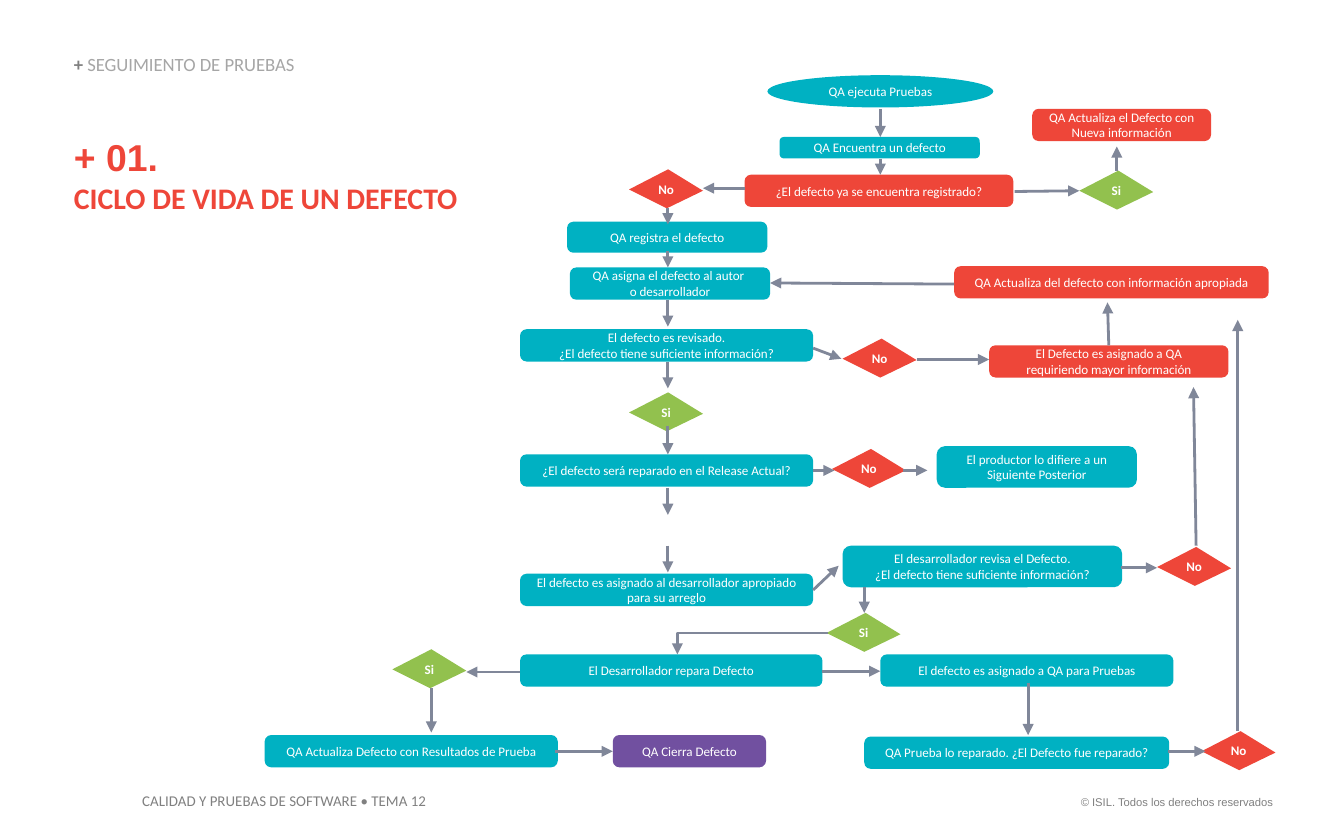
from dataclasses import dataclass

from lxml import etree
from pptx import Presentation
from pptx.dml.color import RGBColor
from pptx.enum import shapes, text
from pptx.oxml import ns
from pptx.util import Pt


@dataclass(frozen=True)
class Theme:
    teal: str = "00B1C2"
    red: str = "EE4639"
    green: str = "92C14E"
    purple: str = "7150A0"
    arrow: str = "808799"
    white: str = "FFFFFF"
    gray: str = "808080"
    light_gray: str = "A6A6A6"
    font: str = "Calibri"
    alt_font: str = "Arial"
    number_size: float = 20
    title_size: float = 16
    section_size: float = 10
    footer_size: float = 8
    node_size: float = 7
    rights_size: float = 6
    line_width: float = 1.5


T = Theme()
STEP_H = 17.3
SPINE_X = 357.8

STEPS = [
    ("QA Encuentra un defecto", 417.6, 73.4, 107.3, 11.5, T.teal),
    ("QA registra el defecto", 303.8, 118.8, 107.3, 16.6, T.teal),
    ("QA asigna el defecto al autor \vo desarrollador", 305.3, 143.3, 107.3, STEP_H, T.teal),
    ("El defecto es revisado.\n¿El defecto tiene suficiente información?",
     278.6, 176.4, 157, STEP_H, T.teal),
    ("El defecto es asignado al desarrollador apropiado para su arreglo",
     278.6, 307.4, 157, STEP_H, T.teal),
    ("El desarrollador revisa el Defecto.\n¿El defecto tiene suficiente información?",
     451.4, 292.3, 149.8, 22.3, T.teal),
    ("El productor lo difiere a un\nSiguiente Posterior", 501.8, 239, 107.3, 22.3, T.teal),
    ("El Defecto es asignado a QA requiriendo mayor información",
     529.9, 185, 128.2, STEP_H, T.red),
    ("QA Actualiza del defecto con información apropiada", 511.2, 142.6, 168.5, STEP_H, T.red),
    ("QA Actualiza el Defecto con Nueva información", 553, 58.3, 95.8, STEP_H, T.red),
    ("¿El defecto ya se encuentra registrado?", 398.9, 93.6, 144, STEP_H, T.red),
    ("QA Actualiza Defecto con Resultados de Prueba", 141.8, 393.8, 157, STEP_H, T.teal),
    ("QA Cierra Defecto", 328.3, 393.8, 82.1, STEP_H, T.purple),
    ("QA Prueba lo reparado. ¿El Defecto fue reparado?", 463, 394.6, 163.4, STEP_H, T.teal),
    ("¿El defecto será reparado en el Release Actual?", 278.6, 243.4, 157, STEP_H, T.teal),
    ("El Desarrollador repara Defecto", 278.6, 350.6, 162, STEP_H, T.teal),
    ("El defecto es asignado a QA para Pruebas", 471.6, 350.6, 157, STEP_H, T.teal),
]

ANSWERS = {
    ("No", T.red): [(337, 90.7), (451.4, 181.4), (445.7, 240.5), (619.9, 293), (643.7, 391.7)],
    ("Si", T.green): [(337, 210.2), (578.2, 91.4), (442.8, 328.3), (210.2, 347.8)],
}

SPINE = [(111.6, 120.2), (134.6, 143.3), (160.6, 175), (193.7, 208.1),
         (228.2, 243.4), (261.4, 275.8), (292.3, 306.7)]

ARROWS = [
    (471.6, 58.3, 471.6, 73.4), (471.6, 85, 471.6, 93.6),
    (231.1, 368.6, 231.1, 392.4), (550.8, 365.8, 550.8, 393.8),
    (598.3, 91.4, 598.3, 78.5), (594, 185, 593.3, 162),
    (663.1, 391.7, 663.1, 171.4), (640.8, 292.3, 639.4, 207.4),
    (491, 192.6, 529.9, 192.6), (483.8, 252, 496.8, 252),
    (435.6, 252, 447.1, 252), (600.8, 304.2, 619.9, 304.2),
    (435.6, 316.1, 449.3, 303.1), (463, 314.6, 463, 328.3),
    (625.7, 402.5, 645.8, 402.5), (297.4, 402.5, 328.3, 402.5),
    (440.6, 359.6, 471.6, 359.6), (435.6, 186.5, 450.7, 192.2),
    (543.6, 102.6, 578.2, 102.2), (511.2, 152.2, 412.6, 151.6),
    (398.9, 100.8, 376.6, 100.8), (278.6, 360, 249.8, 360),
]


def style(r, size, color, font=T.font, bold=False):
    r.font.size, r.font.name, r.font.bold = Pt(size), font, bold
    r.font.color.rgb = RGBColor.from_string(color)


def place(sp, x, y, w, h):
    sp.left, sp.top, sp.width, sp.height = Pt(x), Pt(y), Pt(w), Pt(h)


def fill_node(sp, label, color, bold=False):
    sp.shadow.inherit = False
    sp.fill.solid()
    sp.fill.fore_color.rgb = RGBColor.from_string(color)
    sp.line.fill.background()
    tf = sp.text_frame
    tf.text = label
    tf.vertical_anchor = text.MSO_ANCHOR.MIDDLE
    for p in tf.paragraphs:
        p.alignment = text.PP_ALIGN.CENTER
        for r in p.runs:
            style(r, T.node_size, T.white, bold=bold)


def add_start(s, label, x, y, w, h):
    sp = s.shapes.add_shape(shapes.MSO_SHAPE.OVAL, Pt(x), Pt(y), Pt(w), Pt(h))
    fill_node(sp, label, T.teal)


def add_step(s, label, x, y, w, h, color):
    sp = s.shapes.add_shape(shapes.MSO_SHAPE.ROUNDED_RECTANGLE, Pt(x), Pt(y), Pt(w), Pt(h))
    sp.adjustments[0] = 0.2
    fill_node(sp, label, color)


def add_outline(s, points, close):
    points = [(Pt(x), Pt(y)) for x, y in points]
    fb = s.shapes.build_freeform(*points[0])
    fb.add_line_segments(points[1:], close=close)
    return fb.convert_to_shape()


def add_answer(s, label, x, y, color):
    corners = [(0, 10.8), (20.9, 0), (39.6, 11.5), (20.2, 20.9)]
    sp = add_outline(s, [(x + dx, y + dy) for dx, dy in corners], True)
    fill_node(sp, label, color, bold=True)


def style_arrow(sp):
    sp.line.color.rgb = RGBColor.from_string(T.arrow)
    sp.line.width = Pt(T.line_width)
    sp_pr = sp.element.spPr
    etree.SubElement(sp_pr.find(ns.qn("a:ln")), ns.qn("a:tailEnd"), type="triangle")
    etree.SubElement(sp_pr, ns.qn("a:effectLst"))


def add_arrow(s, x1, y1, x2, y2):
    style_arrow(s.shapes.add_connector(
        shapes.MSO_CONNECTOR.STRAIGHT, Pt(x1), Pt(y1), Pt(x2), Pt(y2)))


def add_elbow(s, points):
    sp = add_outline(s, points, False)
    sp.fill.background()
    style_arrow(sp)


def add_footer(s, label, x, y, w, h, size, font, align):
    sp = s.shapes.add_textbox(Pt(x), Pt(y), Pt(w), Pt(h))
    tf = sp.text_frame
    tf.word_wrap = False
    tf.text = label
    p = tf.paragraphs[0]
    p.alignment = align
    style(p.runs[0], size, T.gray, font)


def set_heading(sp, box, anchor, content):
    place(sp, *box)
    tf = sp.text_frame
    tf.margin_left = tf.margin_right = tf.margin_top = tf.margin_bottom = 0
    tf.auto_size = text.MSO_AUTO_SIZE.NONE
    tf.word_wrap = True
    tf.vertical_anchor = anchor
    tf.text = content
    p = tf.paragraphs[0]
    p.alignment = text.PP_ALIGN.LEFT
    p.space_before = Pt(0)
    return p


def add_headings(s):
    p = set_heading(s.shapes.title, (39.6, 72, 215.3, 44), text.MSO_ANCHOR.TOP,
                    "+ 01.\vCICLO DE VIDA DE UN DEFECTO")
    p.space_after = Pt(6)
    style(p.runs[0], T.number_size, T.red, T.alt_font, True)
    style(p.runs[1], T.title_size, T.red, bold=True)

    p = set_heading(s.placeholders[1], (39.6, 29.5, 260, 10.8), text.MSO_ANCHOR.BOTTOM, "")
    p.line_spacing = 0.9
    p_pr = p._p.get_or_add_pPr()
    p_pr.set("marL", "0")
    p_pr.set("indent", "0")
    etree.SubElement(p_pr, ns.qn("a:buNone"))
    for label, color, bold in [("+ ", T.gray, True), ("SEGUIMIENTO DE PRUEBAS", T.light_gray, False)]:
        r = p.add_run()
        r.text = label
        style(r, T.section_size, color, bold=bold)


def main():
    prs = Presentation()
    prs.slide_width, prs.slide_height = Pt(720), Pt(450)
    s = prs.slides.add_slide(prs.slide_layouts[1])
    add_headings(s)
    add_footer(s, "© ISIL. Todos los derechos reservados", 567.4, 422.6, 121.7, 14.4,
               T.rights_size, T.alt_font, text.PP_ALIGN.RIGHT)
    add_footer(s, "CALIDAD Y PRUEBAS DE SOFTWARE • TEMA 12", 69.1, 420.5, 170.6, 17.3,
               T.footer_size, T.font, text.PP_ALIGN.LEFT)
    add_start(s, "QA ejecuta Pruebas", 411.1, 40.3, 121, 17.3)
    for step in STEPS:
        add_step(s, *step)
    for (label, color), spots in ANSWERS.items():
        for x, y in spots:
            add_answer(s, label, x, y, color)
    for y1, y2 in SPINE:
        add_arrow(s, SPINE_X, y1, SPINE_X, y2)
    for arrow in ARROWS:
        add_arrow(s, *arrow)
    add_elbow(s, [(443.5, 339.1), (362.9, 339.1), (362.9, 350.6)])
    prs.save("out.pptx")


if __name__ == "__main__":
    main()
